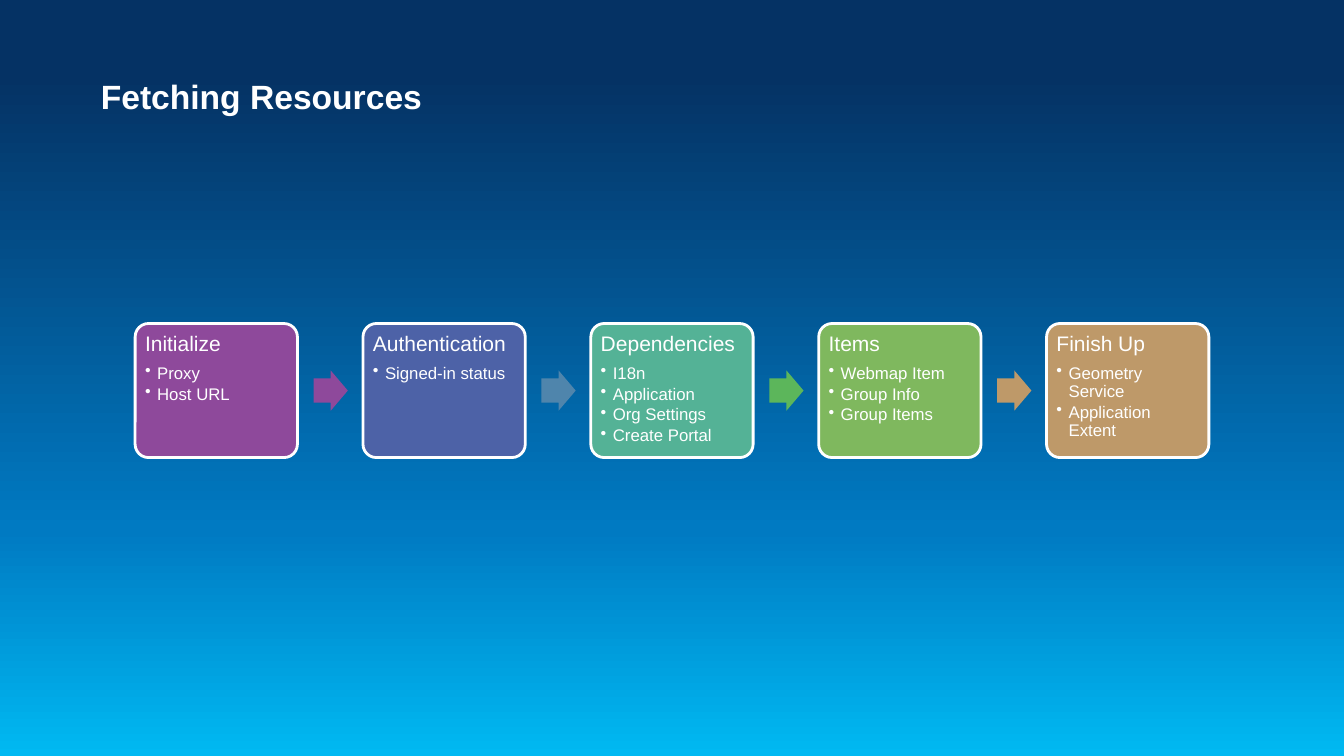
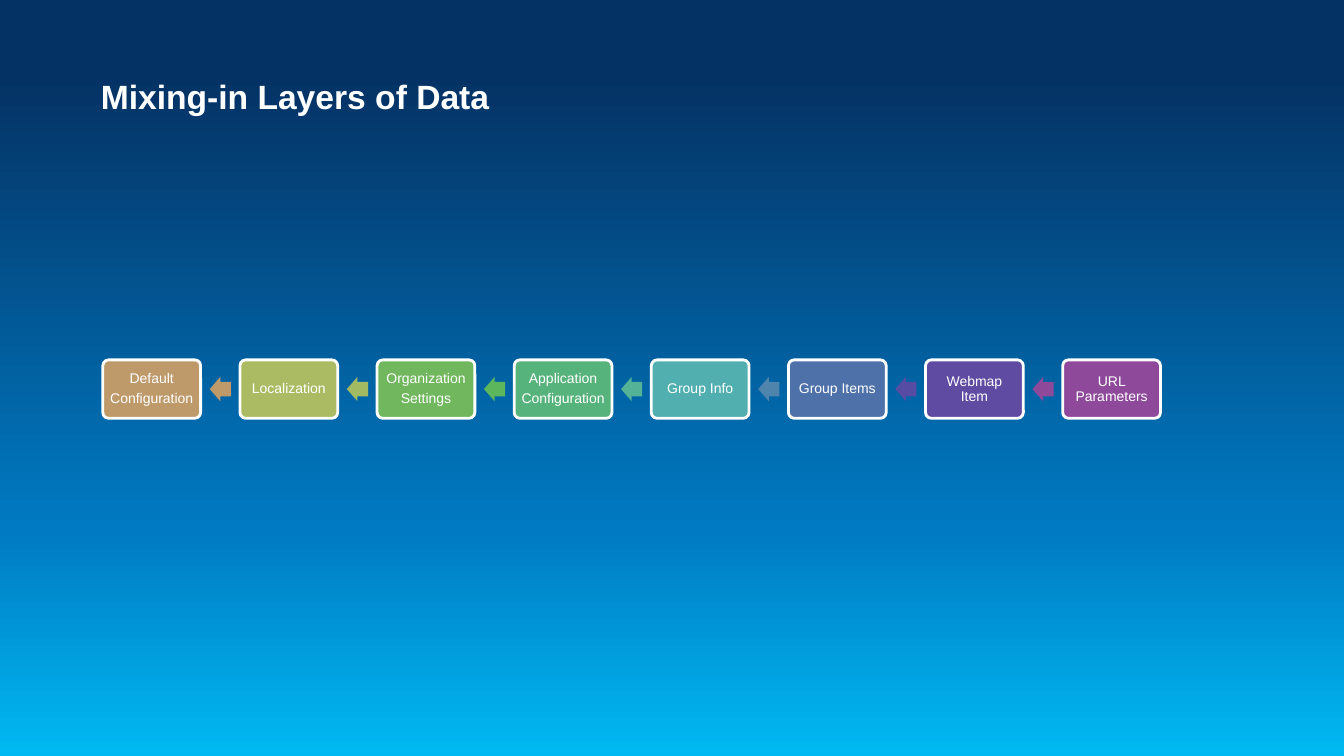
import copy
from dataclasses import dataclass

import lxml.etree
import pptx
import pptx.dml.color
import pptx.enum.shapes
import pptx.enum.text
import pptx.oxml.ns
import pptx.util

Inches = pptx.util.Inches
Pt = pptx.util.Pt
Shapes = pptx.enum.shapes.MSO_SHAPE
Align = pptx.enum.text.PP_ALIGN
Anchor = pptx.enum.text.MSO_ANCHOR
qn = pptx.oxml.ns.qn

FONT = "Arial"
COLORS = {
    "white": "FFFFFF",
    "sky": "00B9F2", "azure": "007AC2", "navy": "053264",
    "purple": "8E499B", "violet": "5F4BA2", "indigo": "574CA3",
    "blue": "4D62A7", "denim": "4E71A9", "steel": "4F85AC",
    "teal": "51AFB0", "mint": "54B296", "jade": "57B37C",
    "green": "5CB65B", "leaf": "70B75D", "grass": "7FB85E",
    "lime": "A2BA62", "olive": "ABBB63", "tan": "BE9969",
}
BACKDROP = ((0, "sky"), (0.3, "azure"), (0.9, "navy"))


@dataclass(frozen=True)
class Step:
    lines: tuple[str, ...]
    color: str
    arrow: str = ""  # colour of the arrow to the next step
    bullets: tuple[str, ...] = ()


@dataclass(frozen=True)
class Chain:
    """Sizes of a row of boxes with arrows in the gaps, in inches and points."""
    left: float
    top: float
    pitch: float
    width: float
    height: float
    arrow_offset: float
    arrow_width: float
    arrow_height: float
    arrow_shape: Shapes
    inset: float
    size: int
    space_after: int
    align: Align
    anchor: Anchor


FETCH_CHAIN = Chain(
    left=1.34, top=3.21, pitch=2.26, width=1.61, height=1.33,
    arrow_offset=1.77, arrow_width=0.34, arrow_height=0.4,
    arrow_shape=Shapes.RIGHT_ARROW, inset=0.06, size=15, space_after=6,
    align=Align.LEFT, anchor=Anchor.TOP)
FETCH_STEPS = (
    Step(("Initialize",), "purple", "purple", ("Proxy", "Host URL")),
    Step(("Authentication",), "blue", "steel", ("Signed-in status",)),
    Step(("Dependencies",), "mint", "green",
         ("I18n", "Application", "Org Settings", "Create Portal")),
    Step(("Items",), "grass", "tan",
         ("Webmap Item", "Group Info", "Group Items")),
    Step(("Finish Up",), "tan",
         bullets=("Geometry Service", "Application Extent")),
)

MIX_CHAIN = Chain(
    left=1.02, top=3.57, pitch=1.36, width=0.97, height=0.58,
    arrow_offset=1.06, arrow_width=0.21, arrow_height=0.24,
    arrow_shape=Shapes.LEFT_ARROW, inset=0.04, size=10, space_after=4,
    align=Align.CENTER, anchor=Anchor.MIDDLE)
MIX_STEPS = (
    Step(("Default", "Configuration"), "tan", "tan"),
    Step(("Localization",), "olive", "lime"),
    Step(("Organization", "Settings"), "leaf", "green"),
    Step(("Application", "Configuration"), "jade", "mint"),
    Step(("Group Info",), "teal", "steel"),
    Step(("Group Items",), "denim", "indigo"),
    Step(("Webmap Item",), "violet", "purple"),
    Step(("URL Parameters",), "purple"),
)


def rgb(color: str) -> pptx.dml.color.RGBColor:
    return pptx.dml.color.RGBColor.from_string(COLORS[color])


def set_margins(frame, inset: float) -> None:
    frame.margin_left = frame.margin_right = Inches(inset)
    frame.margin_top = frame.margin_bottom = Inches(inset)


def add_run(paragraph, text: str, size: int, bold: bool = False) -> None:
    run = paragraph.add_run()
    run.text = text
    run.font.name = FONT
    run.font.size = Pt(size)
    run.font.bold = bold
    run.font.color.rgb = rgb("white")


def set_backdrop(master) -> None:
    fill = master.background.fill
    fill.gradient()
    fill.gradient_angle = 90
    stop_list = master.element.find(".//" + qn("a:gsLst"))
    stop_list.append(copy.deepcopy(stop_list[-1]))
    for stop, (position, color) in zip(fill.gradient_stops, BACKDROP):
        stop.position = position
        stop.color.rgb = rgb(color)


def place_title(layout) -> None:
    title = layout.placeholders[0]
    title.left, title.top = Inches(1), Inches(0.75)
    title.width, title.height = Inches(11.33), Inches(0.4)
    set_margins(title.text_frame, 0)
    title.text_frame.vertical_anchor = Anchor.TOP
    title.text_frame.auto_size = pptx.enum.text.MSO_AUTO_SIZE.SHAPE_TO_FIT_TEXT


def add_titled_slide(deck, layout, heading: str):
    slide = deck.slides.add_slide(layout)
    paragraph = slide.shapes.title.text_frame.paragraphs[0]
    paragraph.alignment = Align.LEFT
    add_run(paragraph, heading, 24, bold=True)
    return slide


def add_filled(slide, kind: Shapes, left: float, top: float, width: float,
               height: float, color: str):
    shape = slide.shapes.add_shape(
        kind, Inches(left), Inches(top), Inches(width), Inches(height))
    shape.shadow.inherit = False
    shape.fill.solid()
    shape.fill.fore_color.rgb = rgb(color)
    shape.line.fill.background()
    return shape


def make_bullet(paragraph) -> None:
    paragraph.level = 1
    properties = paragraph._p.get_or_add_pPr()
    properties.set("marL", str(Inches(0.12)))
    properties.set("indent", str(-Inches(0.12)))
    lxml.etree.SubElement(properties, qn("a:buChar")).set("char", "•")


def write_step(frame, step: Step, chain: Chain) -> None:
    set_margins(frame, chain.inset)
    frame.word_wrap = True
    frame.vertical_anchor = chain.anchor
    entries = [(line, chain.size, chain.space_after, False)
               for line in step.lines]
    entries += [(bullet, 12, 2, True) for bullet in step.bullets]
    for index, (text, size, space_after, bulleted) in enumerate(entries):
        paragraph = frame.add_paragraph() if index else frame.paragraphs[0]
        paragraph.alignment = chain.align
        paragraph.line_spacing = 0.9
        paragraph.space_after = Pt(space_after)
        if bulleted:
            make_bullet(paragraph)
        add_run(paragraph, text, size)


def draw_chain(slide, chain: Chain, steps: tuple[Step, ...]) -> None:
    arrow_top = chain.top + (chain.height - chain.arrow_height) / 2
    for index, step in enumerate(steps):
        left = chain.left + index * chain.pitch
        box = add_filled(slide, Shapes.ROUNDED_RECTANGLE, left, chain.top,
                         chain.width, chain.height, step.color)
        box.adjustments[0] = 0.1
        box.line.color.rgb = rgb("white")
        box.line.width = Pt(2)
        write_step(box.text_frame, step, chain)
        if step.arrow:
            arrow = add_filled(slide, chain.arrow_shape,
                               left + chain.arrow_offset, arrow_top,
                               chain.arrow_width, chain.arrow_height,
                               step.arrow)
            arrow.adjustments[0] = 0.6
            arrow.adjustments[1] = 0.5


def main() -> None:
    deck = pptx.Presentation()
    deck.slide_width, deck.slide_height = Inches(13.33), Inches(7.5)
    set_backdrop(deck.slide_master)
    title_only = deck.slide_layouts.get_by_name("Title Only")
    place_title(title_only)

    for heading, chain, steps in (
        ("Fetching Resources", FETCH_CHAIN, FETCH_STEPS),
        ("Mixing-in Layers of Data", MIX_CHAIN, MIX_STEPS),
    ):
        slide = add_titled_slide(deck, title_only, heading)
        draw_chain(slide, chain, steps)
    deck.save("out.pptx")


if __name__ == "__main__":
    main()
